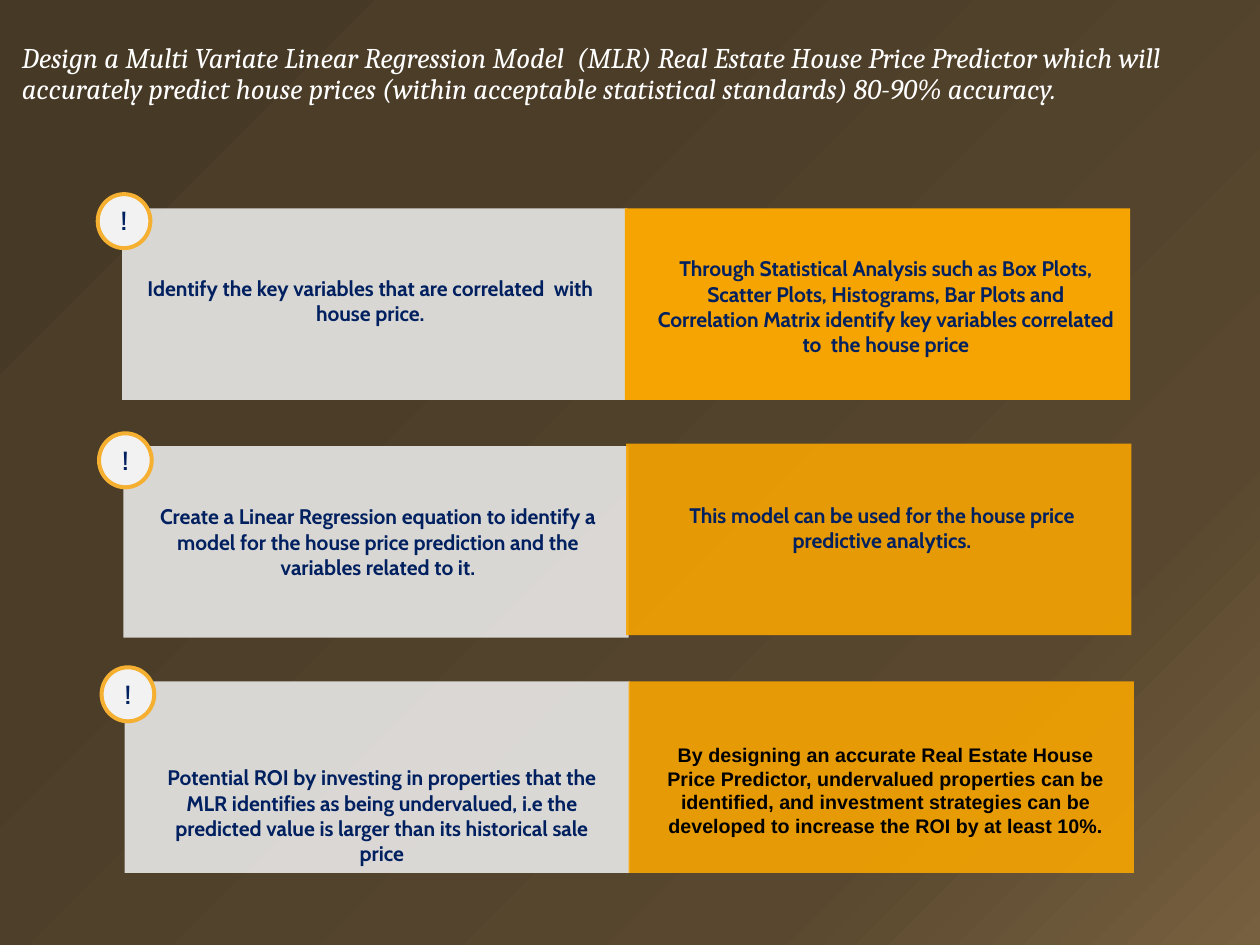
from dataclasses import dataclass

from lxml import etree
from pptx import Presentation
from pptx.dml.color import RGBColor
from pptx.enum.shapes import MSO_SHAPE
from pptx.enum.text import MSO_ANCHOR, MSO_AUTO_SIZE, PP_ALIGN
from pptx.oxml import parse_xml
from pptx.oxml.ns import nsdecls, qn
from pptx.util import Inches, Pt

RECT, OVAL = MSO_SHAPE.RECTANGLE, MSO_SHAPE.OVAL
LEFT, CENTER = PP_ALIGN.LEFT, PP_ALIGN.CENTER
TOP, MIDDLE = MSO_ANCHOR.TOP, MSO_ANCHOR.MIDDLE
FIXED = MSO_AUTO_SIZE.NONE


@dataclass(frozen=True)
class Style:
    font: str
    size: float
    color: str
    bold: bool = False
    italic: bool = False


@dataclass(frozen=True)
class Theme:
    glow: tuple = ((0, "77603F"), (23, "59482F"), (69, "4B3D28"), (97, "463925"))
    pale: str = "F2F2F2"
    gold: str = "F6A401"
    ring: str = "F5AF31"
    title: Style = Style("Cambria", 16, "FFFFFF", italic=True)
    body: Style = Style("Cabin", 11.8, "002060", bold=True)
    mark: Style = Style("Cabin", 13.7, "002060", bold=True)
    plain: Style = Style("Arial", 11, "000000", bold=True)


THEME = Theme()
CARD_W, CARD_H = 3.93, 1.49
TEXT_W = 3.78

TITLE = (
    "Design a Multi Variate Linear Regression Model  (MLR) Real Estate House "
    "Price Predictor which will accurately predict house prices (within "
    "acceptable statistical standards) 80-90% accuracy."
)

# Each row: badge (left, top), then two cards of
# (left, top, opacity, text left, text top, text height, style, text)
ROWS = (
    ((0.76, 1.51), (
        (0.95, 1.62, 85, 0.99, 2.09, 0.5, THEME.body,
         "Identify the key variables that are correlated  with house price."),
        (4.86, 1.62, 100, 5, 1.94, 0.89, THEME.body,
         "Through Statistical Analysis such as Box Plots, Scatter Plots, "
         "Histograms, Bar Plots and Correlation Matrix identify key variables "
         "correlated to  the house price"),
    )),
    ((0.77, 3.37), (
        (0.96, 3.47, 85, 1.05, 3.87, 0.69, THEME.body,
         "Create a Linear Regression equation to identify a model for the "
         "house price prediction and the variables related to it."),
        (4.87, 3.45, 90, 4.97, 3.86, 0.5, THEME.body,
         "This model can be used for the house price predictive analytics."),
    )),
    ((0.79, 5.19), (
        (0.97, 5.3, 85, 1.08, 5.9, 0.69, THEME.body,
         "Potential ROI by investing in properties that the MLR identifies as "
         "being undervalued, i.e the predicted value is larger than its "
         "historical sale price"),
        (4.89, 5.3, 90, 5, 5.73, 0.84, THEME.plain,
         "By designing an accurate Real Estate House Price Predictor, "
         "undervalued properties can be identified, and investment strategies "
         "can be developed to increase the ROI by at least 10%."),
    )),
)


def rgb(color):
    return RGBColor.from_string(color)


def paint_back(slide):
    """Fill the background with a glow from the lower right corner."""
    stops = "".join(
        f'<a:gs pos="{pos * 1000}"><a:srgbClr val="{color}"/></a:gs>'
        for pos, color in THEME.glow
    )
    back = parse_xml(
        f'<p:bg {nsdecls("p", "a")}><p:bgPr><a:gradFill rotWithShape="1">'
        f'<a:gsLst>{stops}</a:gsLst><a:path path="circle">'
        '<a:fillToRect l="100000" t="100000"/></a:path></a:gradFill>'
        "<a:effectLst/></p:bgPr></p:bg>"
    )
    slide.element.cSld.insert(0, back)


def write(frame, text, style, align=CENTER):
    para = frame.paragraphs[0]
    para.alignment = align
    run = para.add_run()
    run.text = text
    font = run.font
    font.name, font.size = style.font, Pt(style.size)
    font.bold, font.italic = style.bold, style.italic
    font.color.rgb = rgb(style.color)
    return para


def add_title(slide):
    title = slide.shapes.title
    title.left, title.top = Inches(0.17), Inches(0.34)
    title.width, title.height = Inches(9.44), Inches(0.73)
    frame = title.text_frame
    frame.margin_left = frame.margin_right = Inches(0)
    frame.margin_top = frame.margin_bottom = Inches(0)
    frame.word_wrap, frame.auto_size = True, FIXED
    frame.vertical_anchor = TOP
    para = write(frame, TITLE, THEME.title, LEFT)
    para.line_spacing = 0.9
    para.space_before = Pt(0)


def add_form(slide, kind, left, top, width, height, color):
    form = slide.shapes.add_shape(
        kind, Inches(left), Inches(top), Inches(width), Inches(height))
    form.shadow.inherit = False
    form.fill.solid()
    form.fill.fore_color.rgb = rgb(color)
    form.line.fill.background()
    return form


def fade(form, opacity):
    tint = form.element.spPr.find(qn("a:solidFill")).find(qn("a:srgbClr"))
    etree.SubElement(tint, qn("a:alpha")).set("val", str(opacity * 1000))


def add_text(slide, left, top, height, text, style):
    box = slide.shapes.add_textbox(
        Inches(left), Inches(top), Inches(TEXT_W), Inches(height))
    box.text_frame.word_wrap = True
    write(box.text_frame, text, style)


def add_card(slide, color, card):
    left, top, opacity, text_x, text_y, text_h, style, text = card
    form = add_form(slide, RECT, left, top, CARD_W, CARD_H, color)
    if opacity < 100:
        fade(form, opacity)
    add_text(slide, text_x, text_y, text_h, text, style)


def add_badge(slide, left, top):
    badge = add_form(slide, OVAL, left, top, 0.41, 0.42, THEME.pale)
    badge.line.color.rgb = rgb(THEME.ring)
    badge.line.width = Pt(2.25)
    badge.text_frame.vertical_anchor = MIDDLE
    write(badge.text_frame, "!", THEME.mark)


def main():
    deck = Presentation()
    deck.slide_width, deck.slide_height = Inches(9.8), Inches(7.35)
    slide = deck.slides.add_slide(deck.slide_layouts[5])
    paint_back(slide)
    add_title(slide)
    for badge, cards in ROWS:
        for color, card in zip((THEME.pale, THEME.gold), cards):
            add_card(slide, color, card)
        add_badge(slide, *badge)
    deck.save("out.pptx")


if __name__ == "__main__":
    main()
